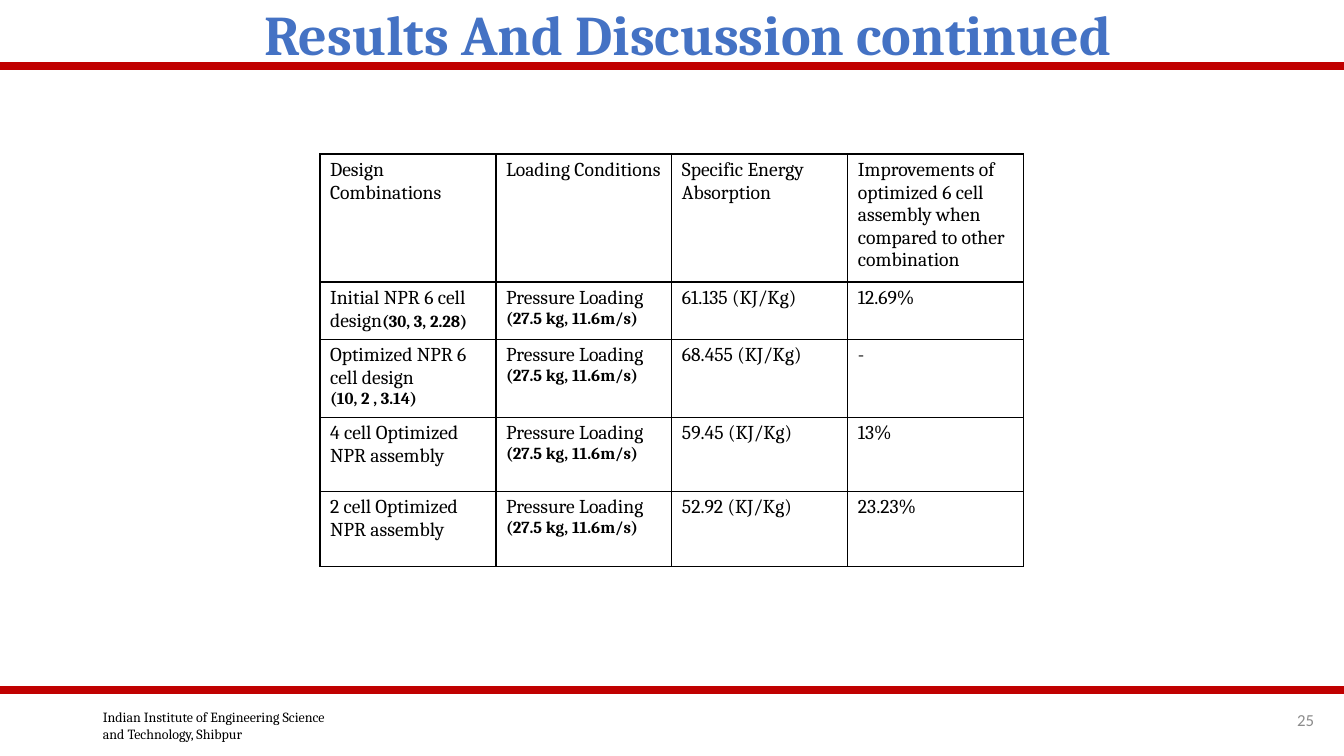
from lxml.etree import SubElement
from pptx import Presentation
from pptx.dml.color import RGBColor
from pptx.enum.shapes import MSO_CONNECTOR
from pptx.enum.text import MSO_ANCHOR, MSO_AUTO_SIZE, PP_ALIGN
from pptx.oxml.ns import qn
from pptx.util import Emu, Pt

BLACK = RGBColor(0x00, 0x00, 0x00)
RED = RGBColor(0xC0, 0x00, 0x00)
BLUE = RGBColor(0x44, 0x72, 0xC4)
GRAY = RGBColor(0x8C, 0x8C, 0x8C)

WIDTH, HEIGHT = 1344, 756
COLUMN_WIDTH = 176
ROW_HEIGHTS = [128, 57, 78, 74, 75]
HEADERS = [
    "Design Combinations",
    "Loading Conditions",
    "Specific Energy Absorption",
    "Improvements of optimized 6 cell assembly when compared to other combination",
]
LOADING = [["Pressure Loading"], ["", "(27.5 kg, 11.6m/s)"]]
RESULTS = [
    ([["Initial NPR 6 cell design", "(30, 3, 2.28)"]], "61.135 (KJ/Kg)", "12.69%"),
    ([["Optimized NPR 6 cell design"], ["", "(10, 2 , 3.14)"]], "68.455 (KJ/Kg)", "-"),
    ([["4 cell Optimized NPR assembly"]], "59.45 (KJ/Kg)", "13%"),
    ([["2 cell Optimized NPR assembly"]], "52.92 (KJ/Kg)", "23.23%"),
]


def px(length):
    return Emu(round(length * 914400 / 100.8))


def add_text(para, text, size=14, color=BLACK, bold=False, font="Cambria"):
    span = para.add_run()
    span.text = text
    span.font.name = font
    span.font.size = Pt(size)
    span.font.bold = bold
    span.font.color.rgb = color


def next_para(frame, index):
    return frame.add_paragraph() if index else frame.paragraphs[0]


class ResultsSlide:
    def __init__(self, deck):
        self.page = deck.slides.add_slide(deck.slide_layouts[6])
        self.rule_color = RED
        self.rule_width = Pt(6)
        self.border_width = Pt(1)

    def rule(self, y):
        line = self.page.shapes.add_connector(
            MSO_CONNECTOR.STRAIGHT, 0, px(y), px(WIDTH), px(y)
        )
        line.line.color.rgb = self.rule_color
        line.line.width = self.rule_width
        SubElement(line._element.spPr, qn("a:effectLst"))

    def text_box(self, x, y, width, height, lines, align=PP_ALIGN.LEFT,
                 anchor=MSO_ANCHOR.TOP, wrap=True, grow=False, **style):
        box = self.page.shapes.add_textbox(px(x), px(y), px(width), px(height))
        frame = box.text_frame
        frame.word_wrap = wrap
        frame.vertical_anchor = anchor
        frame.auto_size = MSO_AUTO_SIZE.SHAPE_TO_FIT_TEXT if grow else MSO_AUTO_SIZE.NONE
        for index, text in enumerate(lines):
            para = next_para(frame, index)
            para.alignment = align
            add_text(para, text, **style)
        return frame

    def border(self, cell):
        properties = cell._tc.get_or_add_tcPr()
        for side in ("a:lnL", "a:lnR", "a:lnT", "a:lnB"):
            line = SubElement(properties, qn(side), w=str(self.border_width))
            fill = SubElement(line, qn("a:solidFill"))
            SubElement(fill, qn("a:srgbClr"), val=str(BLACK))

    def cell(self, cell, lines):
        self.border(cell)
        cell.fill.background()
        for index, (label, *details) in enumerate(lines):
            para = next_para(cell.text_frame, index)
            if label:
                add_text(para, label)
            for detail in details:
                add_text(para, detail, size=12, bold=True)

    def table(self, x, y, column_width, row_heights, rows):
        columns = len(rows[0])
        table = self.page.shapes.add_table(
            len(rows), columns, px(x), px(y),
            px(column_width * columns), px(sum(row_heights)),
        ).table
        table.first_row = False
        table.horz_banding = False
        for column in table.columns:
            column.width = px(column_width)
        for row, height, contents in zip(table.rows, row_heights, rows):
            row.height = px(height)
            for cell, lines in zip(row.cells, contents):
                self.cell(cell, lines)


def main():
    deck = Presentation()
    deck.slide_width, deck.slide_height = px(WIDTH), px(HEIGHT)
    slide = ResultsSlide(deck)

    slide.rule(690)
    slide.text_box(
        93, 704, 257, 44,
        ["Indian Institute of Engineering Science", "and Technology, Shibpur"],
        wrap=False, grow=True, size=10,
    )
    slide.rule(66)

    rows = [[[[header]] for header in HEADERS]]
    for design, absorption, improvement in RESULTS:
        rows.append([design, LOADING, [[absorption]], [[improvement]]])
    slide.table(320, 154, COLUMN_WIDTH, ROW_HEIGHTS, rows)

    title = slide.text_box(
        99, -10, 1177, 78, ["Results And Discussion continued"],
        align=PP_ALIGN.CENTER, grow=True, size=40, color=BLUE, bold=True,
    )
    title.paragraphs[0].line_spacing = 1.07
    title.paragraphs[0].space_after = Pt(8)
    slide.text_box(
        1022, 700, 302, 40, ["25"], align=PP_ALIGN.RIGHT,
        anchor=MSO_ANCHOR.MIDDLE, size=12, color=GRAY, font="Calibri",
    )
    deck.save("out.pptx")


if __name__ == "__main__":
    main()
